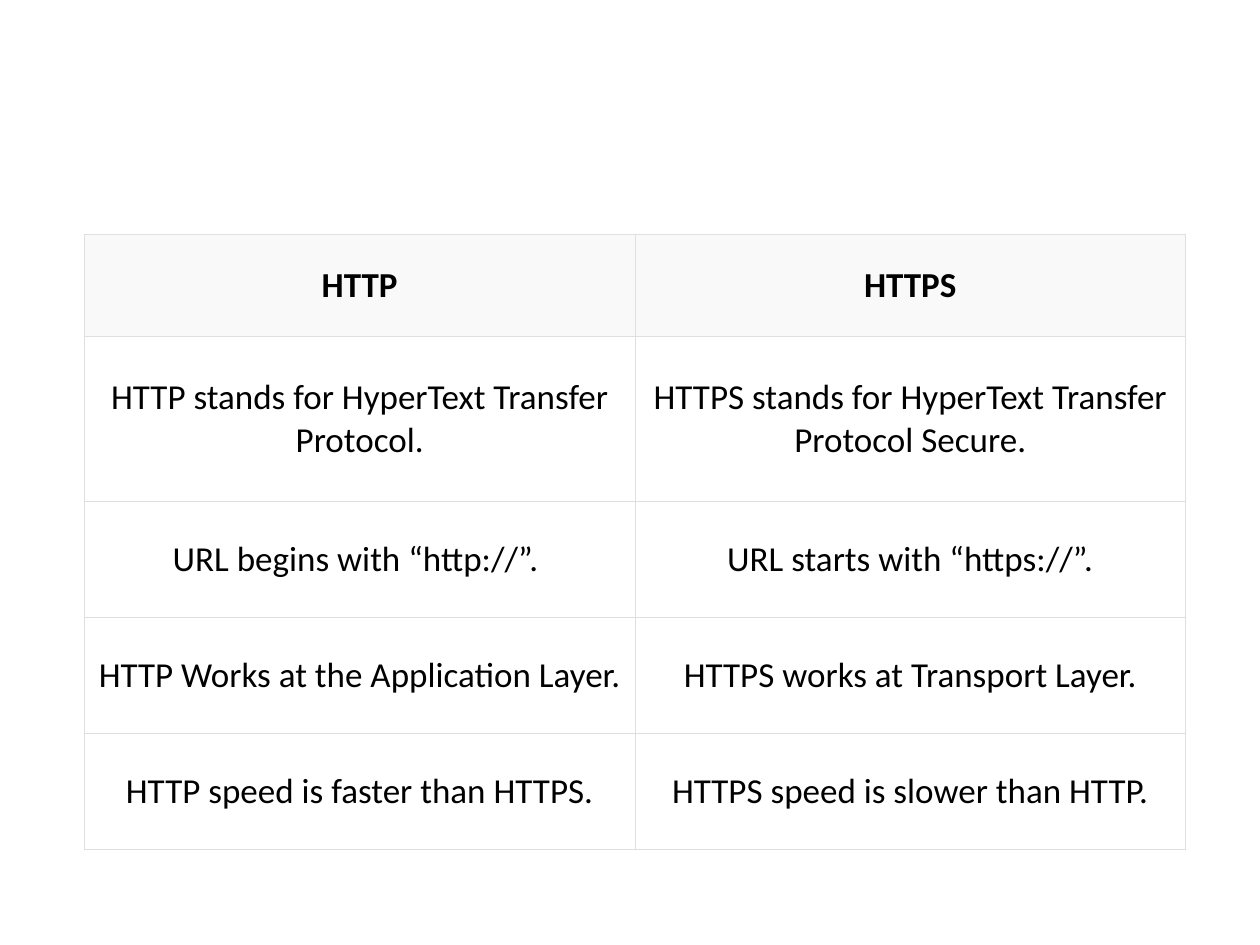
from lxml import etree
from pptx import Presentation
from pptx.dml.color import RGBColor
from pptx.enum import text
from pptx.oxml import ns
from pptx.util import Inches, Pt

COMPARISON = [
    ("HTTP", "HTTPS"),
    ("HTTP stands for HyperText Transfer Protocol.",
     "HTTPS stands for HyperText Transfer Protocol Secure."),
    ("URL begins with “http://”. ", "URL starts with “https://”."),
    ("HTTP Works at the Application Layer.", "HTTPS works at Transport Layer."),
    ("HTTP speed is faster than HTTPS.", "HTTPS speed is slower than HTTP."),
]
LEFT, TOP, COLUMN_WIDTH = 0.67, 1.86, 4.37
ROW_HEIGHTS = [0.81, 1.31, 0.92, 0.92, 0.92]
HEADER_FILL, BODY_FILL = "F9F9F9", "FFFFFF"
TEXT_COLOR, BORDER_COLOR, BORDER_WIDTH = "000000", "DFDFDF", 0.23


def rgb(value):
    return RGBColor.from_string(value)


def add_borders(cell):
    """Draw all four sides; call before filling, as lines precede the fill in tcPr."""
    properties = cell._tc.get_or_add_tcPr()
    for side in ("lnL", "lnR", "lnT", "lnB"):
        line = etree.SubElement(properties, ns.qn(f"a:{side}"), w=str(Pt(BORDER_WIDTH)))
        solid = etree.SubElement(line, ns.qn("a:solidFill"))
        etree.SubElement(solid, ns.qn("a:srgbClr"), val=BORDER_COLOR)


def write_cell(cell, wording, is_header, side_margin):
    add_borders(cell)
    cell.fill.solid()
    cell.fill.fore_color.rgb = rgb(HEADER_FILL if is_header else BODY_FILL)
    cell.margin_left = cell.margin_right = Inches(side_margin)
    cell.margin_top = cell.margin_bottom = Inches(0.1 if is_header else 0.15)
    cell.vertical_anchor = text.MSO_ANCHOR.MIDDLE
    paragraph = cell.text_frame.paragraphs[0]
    paragraph.alignment = text.PP_ALIGN.CENTER
    run = paragraph.add_run()
    run.text = wording
    run.font.name = "Calibri"
    run.font.size = Pt(20)
    run.font.bold = is_header
    run.font.color.rgb = rgb(TEXT_COLOR)


def main():
    deck = Presentation()
    deck.slide_width, deck.slide_height = Inches(10), Inches(7.5)
    slide = deck.slides.add_slide(deck.slide_layouts[6])
    column_count = len(COMPARISON[0])
    table = slide.shapes.add_table(
        len(COMPARISON), column_count, Inches(LEFT), Inches(TOP),
        Inches(COLUMN_WIDTH * column_count), Inches(sum(ROW_HEIGHTS))).table
    table.horz_banding = False
    for column in table.columns:
        column.width = Inches(COLUMN_WIDTH)
    for r, (wordings, height) in enumerate(zip(COMPARISON, ROW_HEIGHTS)):
        table.rows[r].height = Inches(height)
        for c, wording in enumerate(wordings):
            side_margin = 0.04 if r == c == 0 else 0.1
            write_cell(table.cell(r, c), wording, r == 0, side_margin)
    deck.save("out.pptx")


if __name__ == "__main__":
    main()
